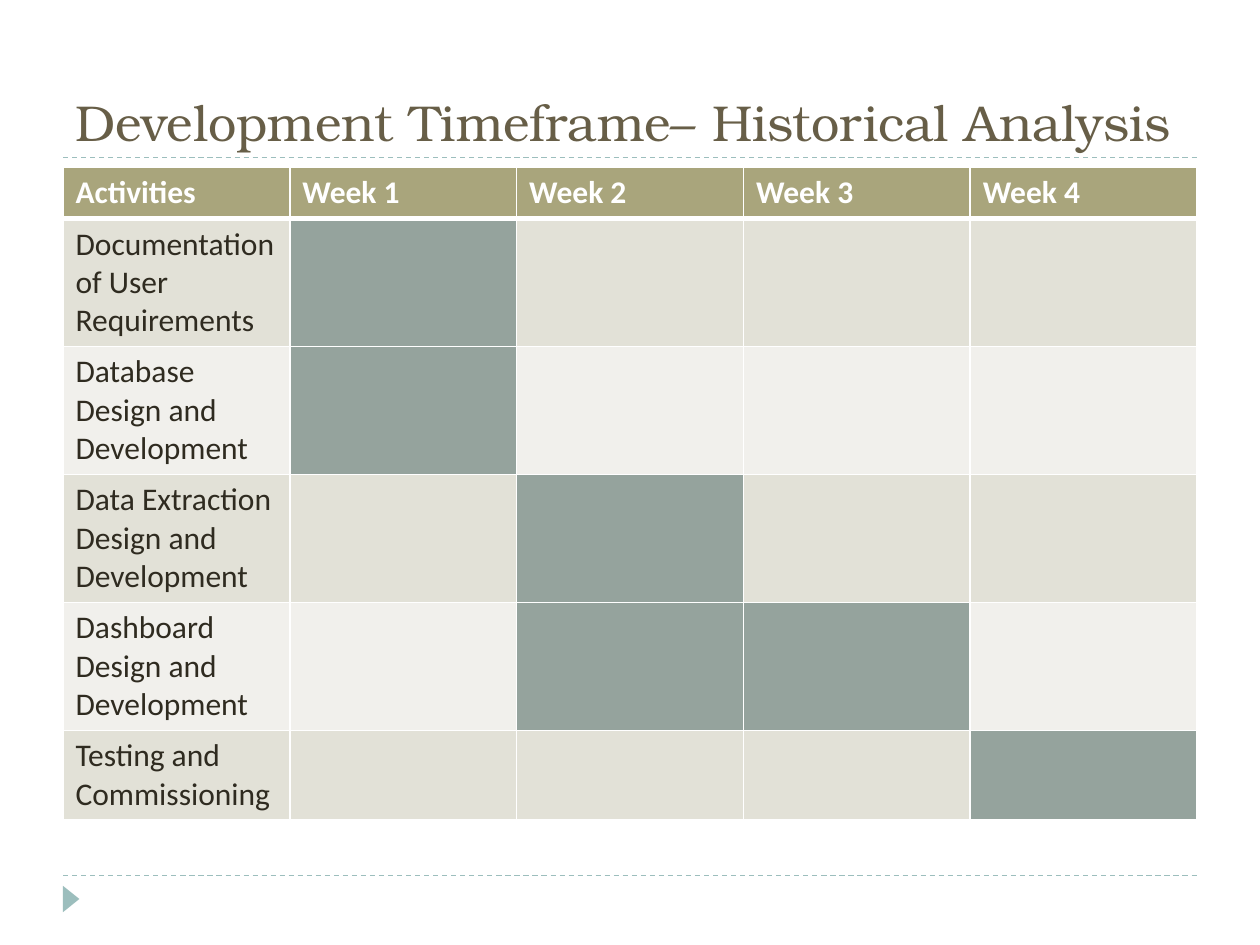
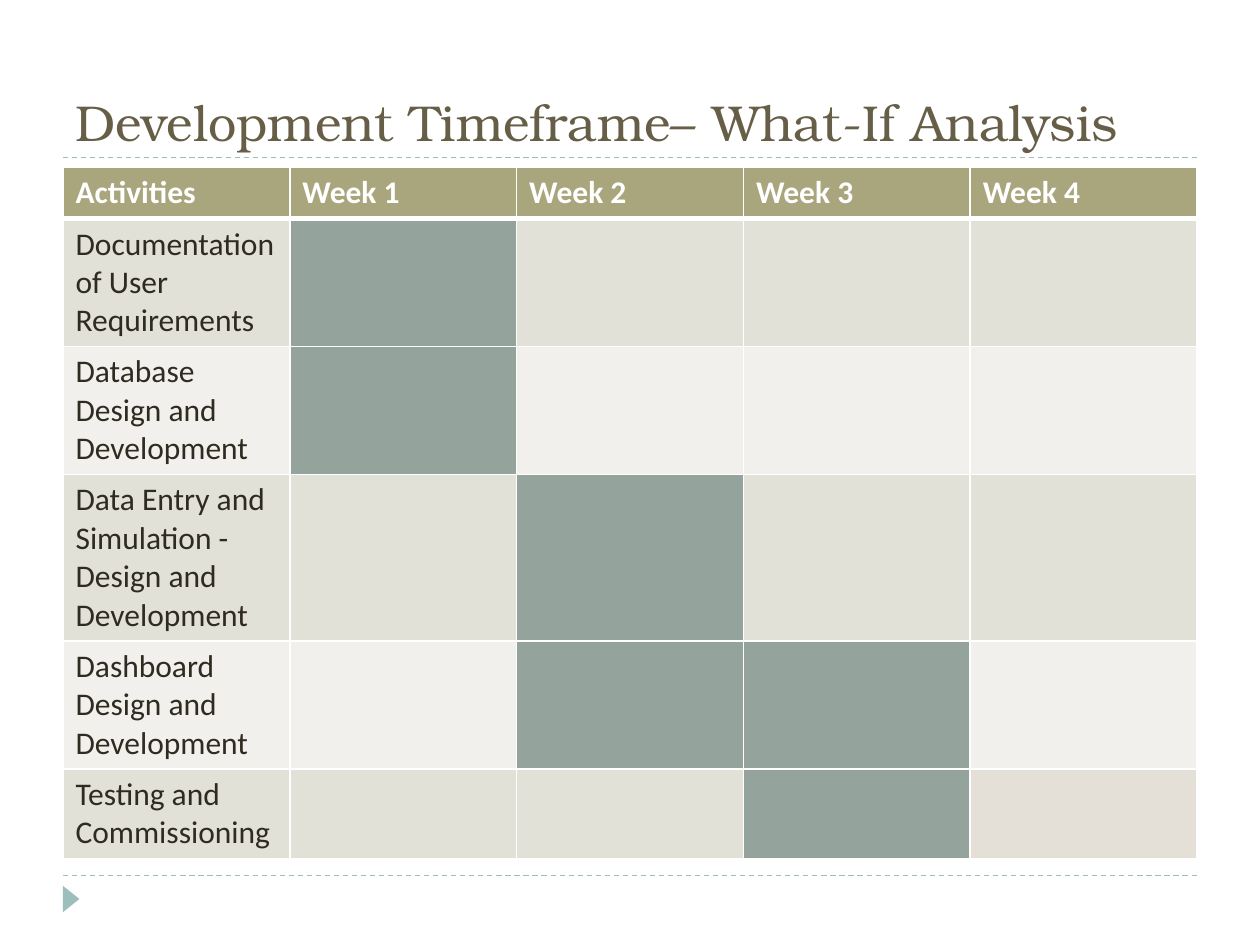
from lxml import etree
from pptx import Presentation
from pptx.dml.color import RGBColor
from pptx.enum import dml, shapes, text
from pptx.oxml import ns
from pptx.util import Pt

TITLE = "675E47"
INK = "2F2B20"
WHITE = "FFFFFF"
ACCENT = "9CBEBD"
HEADER = "A9A57C"
BANDS = ("E2E1D7", "F1F0EC")
BUSY = "95A39D"
PALE = "E4E0D7"

LEFT, WIDTH = 36, 648
RULES = (500.4, 90)
TABLE_TOP = 95.8
LINE_HEIGHT, CELL_PADDING = 21.97, 7.2
COLUMNS = ["Activities"] + [f"Week {n}" for n in range(1, 5)]

REQUIREMENTS = ("Documentation of User Requirements", 3, {1: BUSY})
DATABASE = ("Database Design and Development", 3, {1: BUSY})
DASHBOARD = ("Dashboard Design and Development", 3, {2: BUSY, 3: BUSY})
TESTING = "Testing and Commissioning"

PLANS = [
    ("Development Timeframe– Historical Analysis", [
        REQUIREMENTS,
        DATABASE,
        ("Data Extraction Design and Development", 3, {2: BUSY}),
        DASHBOARD,
        (TESTING, 2, {4: BUSY}),
    ]),
    ("Development Timeframe– What-If Analysis", [
        REQUIREMENTS,
        DATABASE,
        ("Data Entry and Simulation - Design and Development", 4, {2: BUSY}),
        DASHBOARD,
        (TESTING, 2, {3: BUSY, 4: PALE}),
    ]),
]


def rgb(value):
    return RGBColor.from_string(value)


def paint(target, color):
    target.fill.solid()
    target.fill.fore_color.rgb = rgb(color)


def add_run(p, words, font, size, color, bold=False):
    r = p.add_run()
    r.text = words
    r.font.name = font
    r.font.size = Pt(size)
    r.font.bold = bold
    r.font.color.rgb = rgb(color)


def add_rule(s, y):
    line = s.shapes.add_connector(
        shapes.MSO_CONNECTOR.STRAIGHT, Pt(LEFT), Pt(y), Pt(LEFT + WIDTH), Pt(y))
    line.line.color.rgb = rgb(ACCENT)
    line.line.width = Pt(0.75)
    line.line.dash_style = dml.MSO_LINE.DASH
    etree.SubElement(line._element.spPr, ns.qn("a:effectLst"))


def add_marker(s):
    sp = s.shapes.add_shape(
        shapes.MSO_SHAPE.ISOSCELES_TRIANGLE, Pt(33.1), Pt(509), Pt(15.1), Pt(9.4))
    sp.rotation = 90
    sp.shadow.inherit = False
    paint(sp, ACCENT)
    sp.line.fill.background()


def add_title(s, words):
    tf = s.shapes.add_textbox(Pt(LEFT), Pt(12.2), Pt(WIDTH), Pt(77.8)).text_frame
    tf.word_wrap = True
    tf.vertical_anchor = text.MSO_ANCHOR.BOTTOM
    add_run(tf.paragraphs[0], words, "TeX Gyre Bonum", 28.8, TITLE)


def set_borders(cell, top, bottom):
    tc_pr = cell._tc.get_or_add_tcPr()
    for side, width in (("L", 1), ("R", 1), ("T", top), ("B", bottom)):
        ln = etree.SubElement(tc_pr, ns.qn(f"a:ln{side}"), w=str(Pt(width)))
        fill = etree.SubElement(ln, ns.qn("a:solidFill"))
        etree.SubElement(fill, ns.qn("a:srgbClr"), val=WHITE)


def style_cell(cell, color, top=1, bottom=1):
    set_borders(cell, top, bottom)
    paint(cell, color)


def add_timeline(s, activities):
    heights = [CELL_PADDING + LINE_HEIGHT * n
               for n in [1] + [lines for _, lines, _ in activities]]
    table = s.shapes.add_table(
        len(heights), len(COLUMNS), Pt(LEFT), Pt(TABLE_TOP),
        Pt(WIDTH), Pt(sum(heights))).table
    for row, height in zip(table.rows, heights):
        row.height = Pt(height)
    for col, label in enumerate(COLUMNS):
        cell = table.cell(0, col)
        style_cell(cell, HEADER, bottom=3)
        add_run(cell.text_frame.paragraphs[0], label, "Calibri", 18, WHITE, True)
    for row, (activity, _, weeks) in enumerate(activities, 1):
        band = BANDS[(row - 1) % 2]
        for col in range(len(COLUMNS)):
            style_cell(table.cell(row, col), weeks.get(col, band),
                       top=3 if row == 1 else 1)
        p = table.cell(row, 0).text_frame.paragraphs[0]
        add_run(p, activity, "Calibri", 18, INK)


def main():
    prs = Presentation()
    prs.slide_width, prs.slide_height = Pt(720), Pt(540)
    for title, activities in PLANS:
        s = prs.slides.add_slide(prs.slide_layouts[6])
        for y in RULES:
            add_rule(s, y)
        add_marker(s)
        add_title(s, title)
        add_timeline(s, activities)
    prs.save("out.pptx")


if __name__ == "__main__":
    main()
